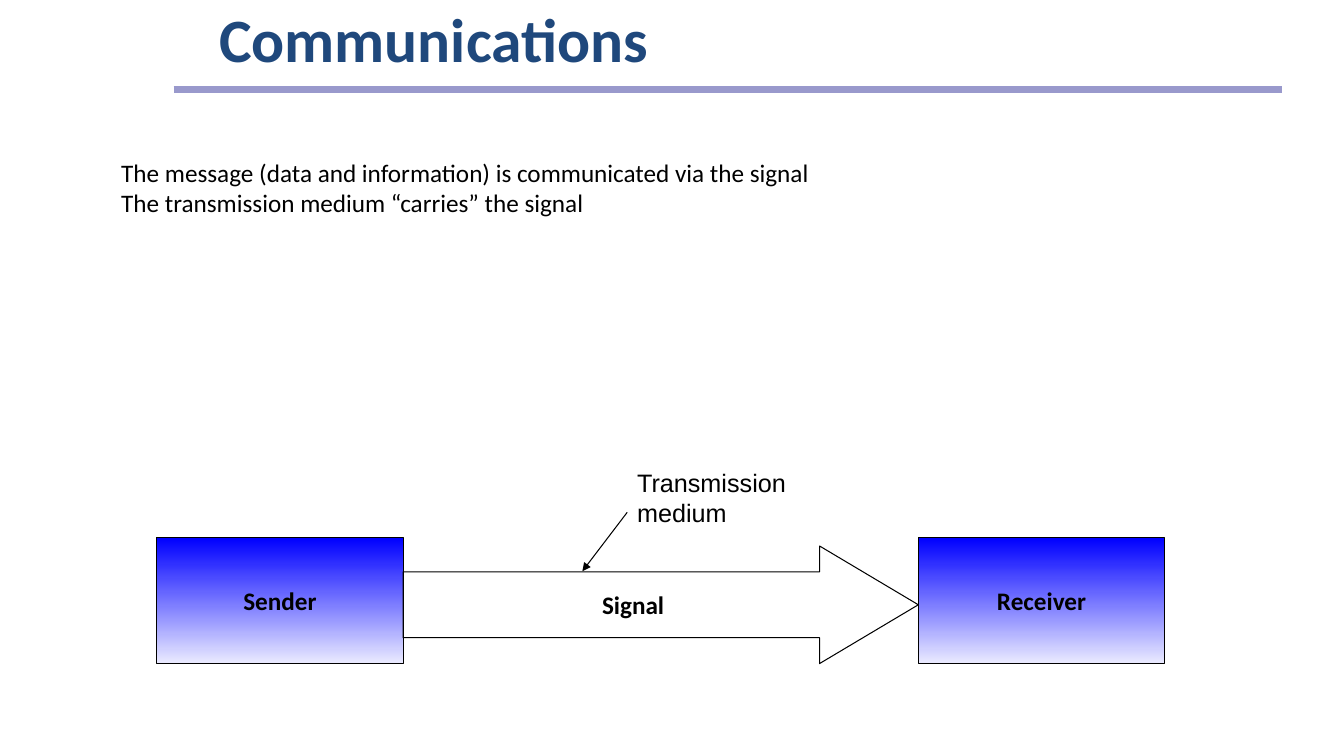
from lxml import etree
from pptx import Presentation
from pptx.dml.color import RGBColor
from pptx.enum.shapes import MSO_CONNECTOR, MSO_SHAPE
from pptx.enum.text import MSO_ANCHOR, PP_ALIGN
from pptx.oxml.ns import qn
from pptx.util import Pt

STRAIGHT = MSO_CONNECTOR.STRAIGHT
RECTANGLE, RIGHT_ARROW = MSO_SHAPE.RECTANGLE, MSO_SHAPE.RIGHT_ARROW
MIDDLE, CENTER = MSO_ANCHOR.MIDDLE, PP_ALIGN.CENTER
BLACK = RGBColor(0x00, 0x00, 0x00)
TITLE_BLUE = RGBColor(0x1F, 0x48, 0x7C)
RULE_LILAC = RGBColor(0x99, 0x99, 0xCC)
BOX_BLUE = RGBColor(0x00, 0x00, 0xFF)
BOX_PALE = RGBColor(0xEA, 0xEA, 0xFF)


def add_text(para, text, size=18, name="Calibri", color=BLACK, bold=False):
    span = para.add_run()
    span.text = text
    span.font.size = Pt(size)
    span.font.name = name
    span.font.color.rgb = color
    span.font.bold = bold


def add_line(start, end, color, width):
    line = slide.shapes.add_connector(STRAIGHT, *map(Pt, start + end))
    line.line.color.rgb = color
    line.line.width = Pt(width)
    etree.SubElement(line._element.spPr, qn("a:effectLst"))
    return line


deck = Presentation()
deck.slide_width, deck.slide_height = Pt(960), Pt(540)
slide = deck.slides.add_slide(deck.slide_layouts[6])

add_line((124, 64), (916, 64), RULE_LILAC, 4.5)

# Title and body text
title = slide.shapes.add_textbox(Pt(156.5), Pt(0.7), Pt(682), Pt(54.5)).text_frame
body = slide.shapes.add_textbox(Pt(50.6), Pt(112.5), Pt(859), Pt(107)).text_frame
for frame in (title, body):
    frame.word_wrap = True
    frame.margin_left = frame.margin_right = 0
    frame.margin_top = frame.margin_bottom = 0
add_text(title.paragraphs[0], "Communications", 44, color=TITLE_BLUE, bold=True)

sentences = [
    "The message (data and information) is communicated via the signal",
    "The transmission medium “carries” the signal",
]
for index, sentence in enumerate(sentences):
    para = body.add_paragraph() if index else body.paragraphs[0]
    para._p.get_or_add_pPr().set("marL", str(Pt(36)))
    add_text(para, sentence)

# Sender, receiver and the signal between them
parts = [
    ("Sender", RECTANGLE, 112, 384, 176, 90),
    ("Receiver", RECTANGLE, 656, 384, 176, 90),
    ("Signal", RIGHT_ARROW, 288, 390, 368, 84),
]
for label, kind, left, top, width, height in parts:
    box = slide.shapes.add_shape(kind, Pt(left), Pt(top), Pt(width), Pt(height))
    box.shadow.inherit = False
    box.line.color.rgb = BLACK
    box.line.width = Pt(0.75)
    if kind == RECTANGLE:
        box.fill.gradient()
        box.fill.gradient_angle = 270
        for stop, color in zip(box.fill.gradient_stops, (BOX_BLUE, BOX_PALE)):
            stop.color.rgb = color
    else:
        box.fill.background()
        box.adjustments[0], box.adjustments[1] = 0.56, 0.84
    box.text_frame.word_wrap = False
    box.text_frame.vertical_anchor = MIDDLE
    para = box.text_frame.paragraphs[0]
    para.alignment = CENTER
    add_text(para, label, bold=True)

# Pointer to the transmission medium
medium = slide.shapes.add_textbox(Pt(448), Pt(330), Pt(192), Pt(51)).text_frame
medium.word_wrap = True
para = medium.paragraphs[0]
add_text(para, "Transmission", name="Arial")
para.add_line_break()
add_text(para, "medium", name="Arial")

pointer = add_line((448, 366), (416, 408), BLACK, 0.75)
etree.SubElement(pointer.line._get_or_add_ln(), qn("a:tailEnd"), type="triangle")

deck.save("out.pptx")
